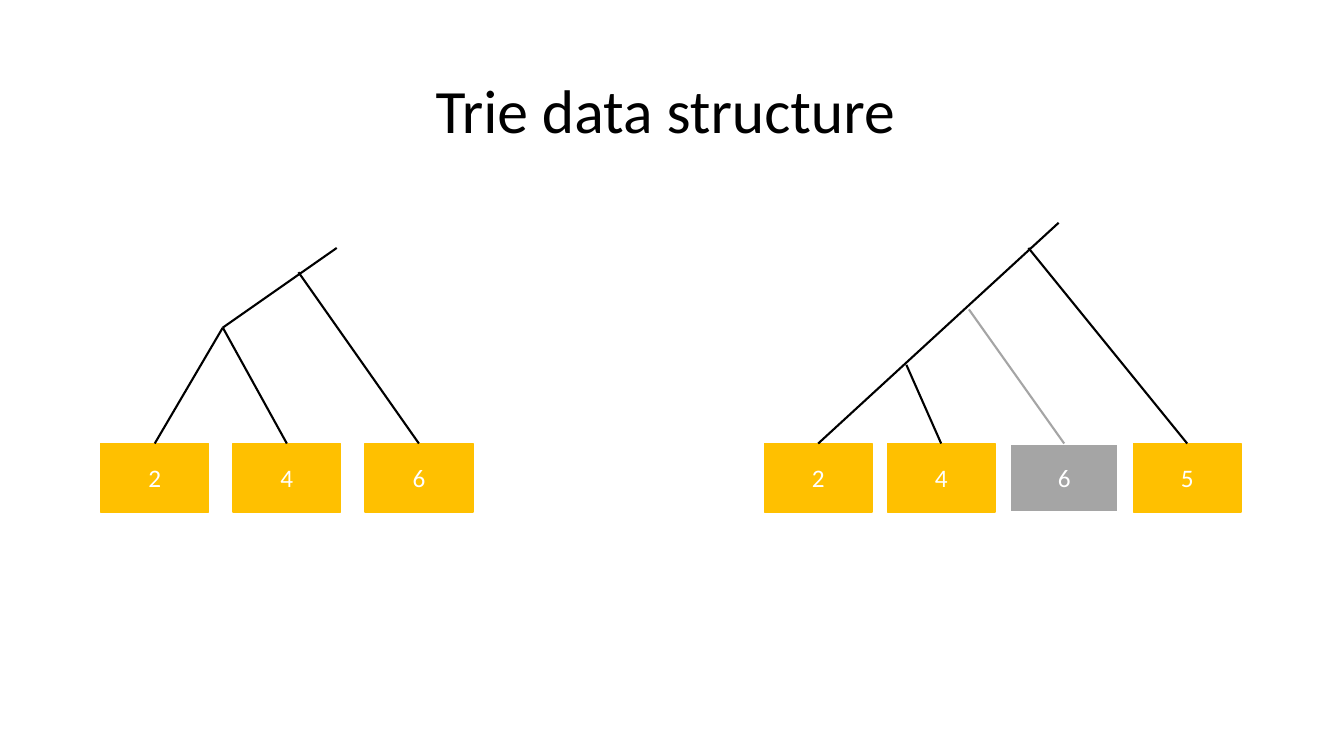
from pptx import Presentation
from pptx import util as u
from pptx.dml.color import RGBColor
from pptx.enum import shapes, text
from pptx.oxml.ns import qn
from lxml import etree

TITLE = "Trie data structure "
GOLD, GREY, BLACK, WHITE = "FFC000", "A5A5A5", "000000", "FFFFFF"
LEAF_TOP, LEAF_WIDTH, LEAF_HEIGHT = 4.4, 1.07, 0.68

# Each leaf: label, colour, joint where its branch starts
# Each stem: extra line between two joints
TRIES = [
    {"left": 1, "pitch": 1.31,
     "leaves": [("2", GOLD, (2.21, 3.25)), ("4", GOLD, (2.21, 3.25)),
                ("6", GOLD, (2.96, 2.7))],
     "stems": [((2.21, 3.25), (3.34, 2.46))]},
    {"left": 7.58, "pitch": 1.22,
     "leaves": [("2", GOLD, (10.5, 2.21)), ("4", GOLD, (8.99, 3.62)),
                ("6", GREY, (9.61, 3.07)), ("5", GOLD, (10.2, 2.46))],
     "stems": []},
]


def rgb(value):
    return RGBColor.from_string(value)


def write(frame, words, size, colour):
    frame.vertical_anchor = text.MSO_ANCHOR.MIDDLE
    paragraph = frame.paragraphs[0]
    paragraph.alignment = text.PP_ALIGN.CENTER
    run = paragraph.add_run()
    run.text = words
    for name, value in {"name": "Calibri", "size": u.Pt(size)}.items():
        setattr(run.font, name, value)
    run.font.color.rgb = rgb(colour)
    return paragraph


def add_branch(slide, start, end, colour=BLACK):
    branch = slide.shapes.add_connector(
        shapes.MSO_CONNECTOR.STRAIGHT, *map(u.Inches, (*start, *end)))
    branch.line.color.rgb = rgb(colour)
    branch.line.width = u.Pt(1.5)
    etree.SubElement(branch._element.spPr, qn("a:effectLst"))


def add_leaf(slide, left, label, colour):
    leaf = slide.shapes.add_shape(
        shapes.MSO_SHAPE.RECTANGLE,
        *map(u.Inches, (left, LEAF_TOP, LEAF_WIDTH, LEAF_HEIGHT)))
    leaf.shadow.inherit = False
    leaf.fill.solid()
    leaf.fill.fore_color.rgb = rgb(colour)
    outline, width = (WHITE, 1.5) if colour == GREY else (colour, 1)
    leaf.line.color.rgb = rgb(outline)
    leaf.line.width = u.Pt(width)
    write(leaf.text_frame, label, 18, WHITE)


def add_trie(slide, trie):
    # Leaves first, so that the branches lie on top
    lefts = [trie["left"] + i * trie["pitch"] for i in range(len(trie["leaves"]))]
    for left, (label, colour, _) in zip(lefts, trie["leaves"]):
        add_leaf(slide, left, label, colour)
    for left, (_, colour, joint) in zip(lefts, trie["leaves"]):
        add_branch(slide, joint, (left + LEAF_WIDTH / 2, LEAF_TOP),
                   GREY if colour == GREY else BLACK)
    for start, end in trie["stems"]:
        add_branch(slide, start, end)


def main():
    deck = Presentation()
    deck.slide_width, deck.slide_height = u.Inches(13.33), u.Inches(7.5)
    slide = deck.slides.add_slide(deck.slide_layouts[5])

    # Title
    title = slide.shapes.title
    place = {"left": 0.92, "top": 0.4, "width": 11.5, "height": 1.45}
    for name, value in place.items():
        setattr(title, name, u.Inches(value))
    write(title.text_frame, TITLE, 44, BLACK).line_spacing = 0.9

    # Tries
    for trie in TRIES:
        add_trie(slide, trie)
    deck.save("out.pptx")


if __name__ == "__main__":
    main()
